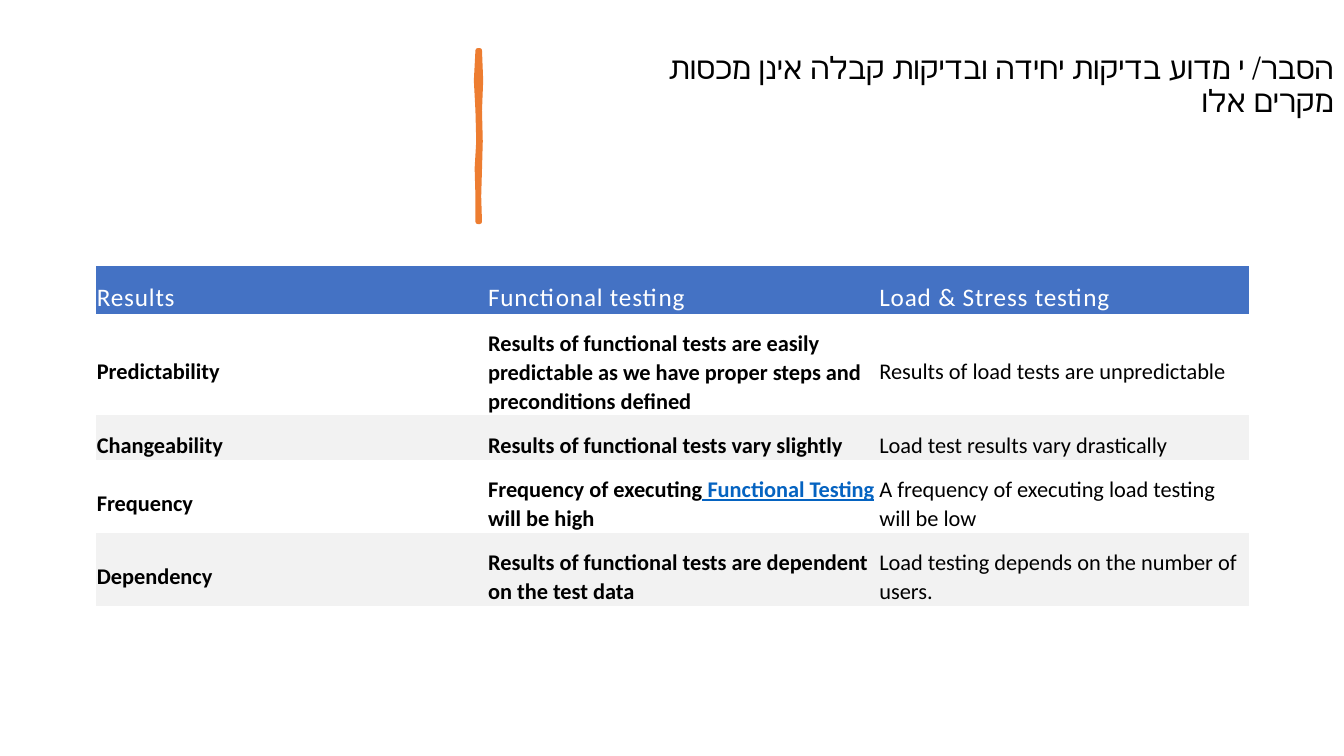
from dataclasses import dataclass

import pptx
import pptx.dml.color
import pptx.enum.lang
import pptx.enum.text
import pptx.oxml.ns
import pptx.util
from lxml import etree
from pptx.util import Cm, Pt


@dataclass(frozen=True)
class Theme:
    font: str = "Calibri"
    ink: str = "000000"
    header_text: str = "FFFFFF"
    header_fill: str = "4472C4"
    band_fill: str = "F2F2F2"
    link: str = "0563C1"
    accent: str = "ED7D31"
    title_size: int = 22
    header_size: int = 18
    body_size: int = 16


THEME = Theme()

TITLE = "הסבר/ י מדוע בדיקות יחידה ובדיקות קבלה אינן מכסות מקרים אלו"

# A cell is a list of (text, is_link) runs
HEADERS = ["Results", "Functional testing", "Load & Stress testing"]
ROWS = [
    ["Predictability",
     "Results of functional tests are easily predictable as we have proper "
     "steps and preconditions defined",
     "Results of load tests are unpredictable"],
    ["Changeability",
     "Results of functional tests vary slightly",
     "Load test results vary drastically"],
    ["Frequency",
     [("Frequency of executing", False), (" Functional Testing", True),
      (" will be high", False)],
     "A frequency of executing load testing will be low"],
    ["Dependency",
     "Results of functional tests are dependent on the test data",
     "Load testing depends on the number of users."],
]
COLUMN_WIDTHS = [9.86, 9.86, 9.35]
ROW_HEIGHTS = [0.86, 2.36, 1.04, 1.7, 1.7]
PLAIN_TABLE_STYLE = "{2D5ABB26-0587-4C30-8999-92F81FD0307C}"

# Brush stroke outline in cm: down the right edge, up the left edge
STROKE_OUTLINE = [
    (12.09, 1.27), (12.12, 2.03), (12.09, 2.79), (12.11, 3.56), (12.09, 4.27),
    (12.07, 4.95), (12.09, 5.59), (12.04, 5.59), (12.04, 4.95), (12.02, 4.24),
    (12.06, 3.56), (12.04, 2.79), (12.0, 2.03), (12.04, 1.27),
]


def rgb(value):
    return pptx.dml.color.RGBColor.from_string(value)


def apply_format(target, values):
    for name, value in values.items():
        setattr(target, name, value)


def add_run(paragraph, text, color, **font_values):
    run = paragraph.add_run()
    run.text = text
    apply_format(run.font, {"name": THEME.font, **font_values})
    run.font.color.rgb = rgb(color)
    return run


def add_title(slide):
    box = slide.shapes.add_textbox(Cm(14.71), Cm(0.13), Cm(19.15), Cm(4.06))
    apply_format(box.text_frame, {
        "word_wrap": True,
        "vertical_anchor": pptx.enum.text.MSO_ANCHOR.MIDDLE,
    })
    paragraph = box.text_frame.paragraphs[0]
    apply_format(paragraph, {
        "alignment": pptx.enum.text.PP_ALIGN.RIGHT,
        "line_spacing": 0.9,
        "space_before": Pt(10),
    })
    paragraph._p.get_or_add_pPr().set("rtl", "1")
    run = add_run(paragraph, TITLE, THEME.ink, size=Pt(THEME.title_size))
    run.font.language_id = pptx.enum.lang.MSO_LANGUAGE_ID.HEBREW


def add_brush_stroke(slide):
    points = [(Cm(x), Cm(y)) for x, y in STROKE_OUTLINE]
    builder = slide.shapes.build_freeform(*points[0])
    builder.add_line_segments(points[1:], close=True)
    stroke = builder.convert_to_shape()
    stroke.shadow.inherit = False
    stroke.fill.solid()
    stroke.fill.fore_color.rgb = rgb(THEME.accent)
    stroke.line.color.rgb = rgb(THEME.accent)
    stroke.line.width = Pt(3.25)
    etree.SubElement(stroke.line._get_or_add_ln(), pptx.oxml.ns.qn("a:round"))


def fill_cell(cell, content, fill, color, spacing=0, **font_values):
    apply_format(cell, {
        "margin_left": Cm(0.03),
        "margin_right": Cm(0.03),
        "margin_top": Cm(0.36),
        "margin_bottom": Cm(0.03),
        "vertical_anchor": pptx.enum.text.MSO_ANCHOR.MIDDLE,
    })
    if fill:
        cell.fill.solid()
        cell.fill.fore_color.rgb = rgb(fill)
    else:
        cell.fill.background()
    paragraph = cell.text_frame.paragraphs[0]
    apply_format(paragraph, {"line_spacing": 1.07, "space_after": Pt(8)})
    runs = [(content, False)] if isinstance(content, str) else content
    for text, is_link in runs:
        run = add_run(paragraph, text, THEME.link if is_link else color,
                      underline=is_link, **font_values)
        run.font._element.set("spc", str(spacing))


def add_comparison_table(slide):
    frame = slide.shapes.add_table(
        len(ROW_HEIGHTS), len(COLUMN_WIDTHS), Cm(2.41), Cm(6.7),
        Cm(sum(COLUMN_WIDTHS)), Cm(sum(ROW_HEIGHTS)))
    table = frame.table
    apply_format(table, {"first_row": False, "horz_banding": False})
    style = table._tbl.tblPr.find(pptx.oxml.ns.qn("a:tableStyleId"))
    style.text = PLAIN_TABLE_STYLE
    for column, width in zip(table.columns, COLUMN_WIDTHS):
        column.width = Cm(width)
    for row, height in zip(table.rows, ROW_HEIGHTS):
        row.height = Cm(height)

    # Header row
    for column, text in enumerate(HEADERS):
        fill_cell(table.cell(0, column), text, THEME.header_fill,
                  THEME.header_text, spacing=60, size=Pt(THEME.header_size))

    # Body rows: every second one shaded, last column in regular weight
    for row, contents in enumerate(ROWS, start=1):
        fill = THEME.band_fill if row % 2 == 0 else None
        for column, content in enumerate(contents):
            fill_cell(table.cell(row, column), content, fill, THEME.ink,
                      size=Pt(THEME.body_size), bold=column < 2)


def main():
    presentation = pptx.Presentation()
    presentation.slide_width = Cm(33.87)
    presentation.slide_height = Cm(19.05)
    slide = presentation.slides.add_slide(presentation.slide_layouts[6])
    add_brush_stroke(slide)
    add_title(slide)
    add_comparison_table(slide)
    presentation.save("out.pptx")


if __name__ == "__main__":
    main()
